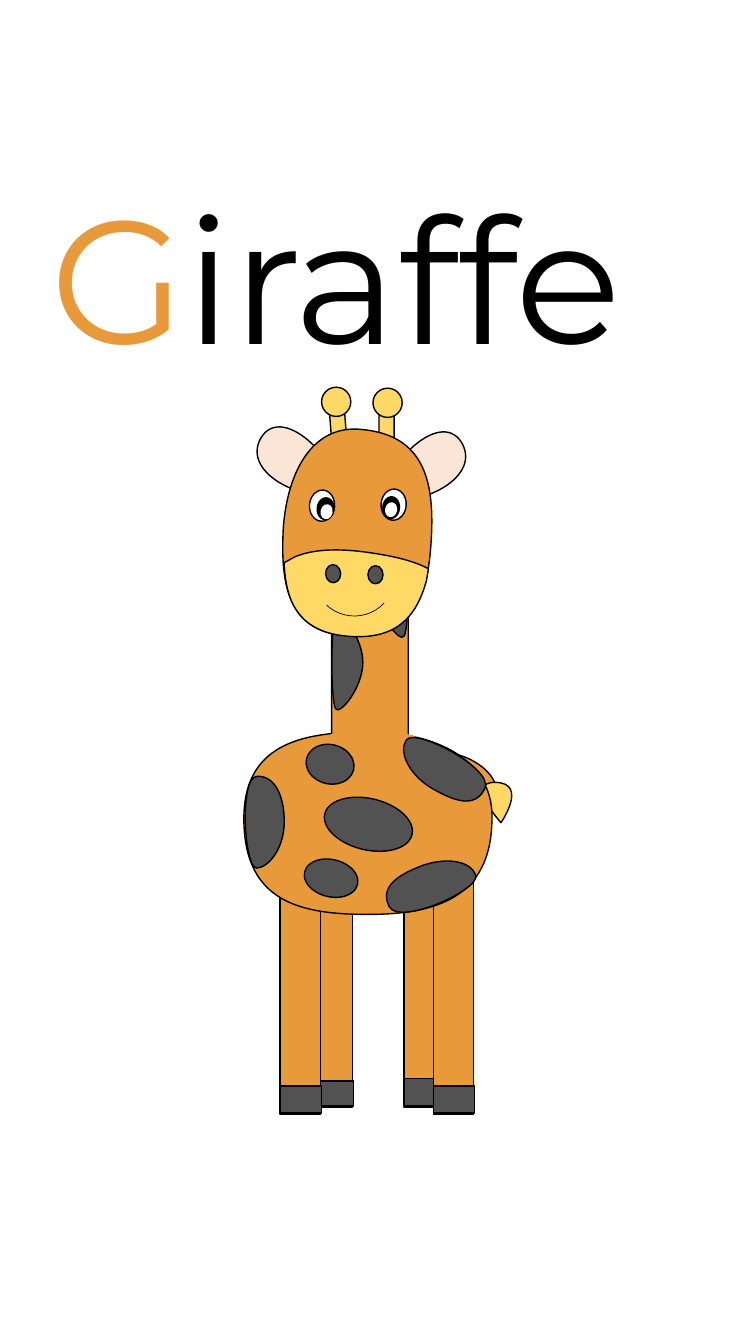
import math

import lxml.etree
import pptx
import pptx.oxml.ns
import pptx.util
from pptx.dml.color import RGBColor
from pptx.enum.shapes import MSO_SHAPE
from pptx.enum.text import MSO_ANCHOR, MSO_AUTO_SIZE, PP_ALIGN

PX = 9144
ORANGE = RGBColor(0xE8, 0x9A, 0x3A)
YELLOW = RGBColor(0xFF, 0xD9, 0x66)
PINK = RGBColor(0xFB, 0xE5, 0xD6)
GREY = RGBColor(0x52, 0x52, 0x52)
BLACK = RGBColor(0x00, 0x00, 0x00)
WHITE = RGBColor(0xFF, 0xFF, 0xFF)

SLIDE_SIZE = (750, 1333)
TITLE_BOX = (40, 163, 689, 220)
TITLE_SPANS = [("G", ORANGE), ("iraffe", BLACK)]
TITLE_FONT = {"name": "Montserrat", "size": pptx.util.Pt(125), "bold": False}
TITLE_FRAME = {
    "word_wrap": True,
    "vertical_anchor": MSO_ANCHOR.TOP,
    "auto_size": MSO_AUTO_SIZE.SHAPE_TO_FIT_TEXT,
    "margin_left": 10 * PX,
    "margin_right": 10 * PX,
    "margin_top": 5 * PX,
    "margin_bottom": 5 * PX,
}

OVAL = MSO_SHAPE.OVAL
BAR = MSO_SHAPE.RECTANGLE
ROUND_BAR = MSO_SHAPE.ROUNDED_RECTANGLE


def place(outline, sign, dx, dy):
    return [
        tuple(v + dy if i % 2 else sign * v + dx for i, v in enumerate(step))
        for step in outline
    ]


LEFT_EAR = [(329, 485), (344, 467, 282, 397, 259, 434), (237, 472, 313, 502, 329, 485)]
RIGHT_EAR = place(LEFT_EAR, -1, 717, 5)
TAIL = [(452, 779), (389, 727, 492, 744, 493, 786), (473, 777, 483, 774, 452, 779)]
TAIL_TUFT = [(497, 816), (497, 816, 524, 777, 492, 776), (460, 775, 497, 816, 497, 816)]
BODY = [
    (242, 816), (240, 739, 297, 726, 365, 726), (433, 726, 492, 754, 488, 816),
    (486, 890, 433, 907, 365, 907), (297, 907, 244, 894, 242, 816),
]
HEAD = [
    (349, 631), (286, 629, 278, 581, 281, 524), (285, 468, 310, 420, 360, 426),
    (420, 432, 431, 476, 428, 533), (425, 589, 412, 633, 349, 631),
]
MUZZLE = [
    (282, 558), (293, 552), (313, 544, 338, 544, 366, 548), (387, 551, 406, 555, 421, 562),
    (425, 564), (423, 576), (413, 612, 393, 635, 345, 631), (298, 627, 284, 599, 282, 561),
    (282, 558),
]
LEFT_NECK_SPOT = [
    (360, 657), (360, 632, 337, 604, 333, 611),
    (328, 619, 328, 695, 333, 703), (337, 710, 360, 682, 360, 657),
]
RIGHT_NECK_SPOT = place(LEFT_NECK_SPOT, -1, 734, -72)
LEFT_NECK_BASE = [
    (324, 731), (332, 726), (344, 722, 360, 720, 376, 723), (384, 725, 392, 727, 398, 730),
    (403, 733), (383, 751), (377, 758, 371, 764, 366, 770), (365, 771), (324, 731),
]
RIGHT_NECK_BASE = place(LEFT_NECK_BASE, 1, 20, 3)
FLANK_SPOT = [
    (282, 815), (282, 790, 273, 769, 255, 770),
    (237, 770, 242, 862, 255, 861), (267, 860, 282, 841, 282, 815),
]
RUMP_SPOT = [
    (427, 781), (449, 794, 471, 803, 481, 782),
    (490, 762, 411, 721, 403, 734), (395, 746, 406, 768, 427, 781),
]
THIGH_SPOT = [
    (420, 858), (396, 867, 376, 879, 386, 899),
    (396, 919, 477, 882, 472, 868), (467, 854, 444, 850, 420, 858),
]

LEGS = [
    ((401, 863), (401, 1070, 39, 27)),
    ((430, 870), (430, 1077, 41, 27)),
    ((310, 863), (308, 1072, 43, 25)),
    ((278, 870), (278, 1077, 41, 27)),
]
LEG_SIZE = (40, 235)
RIGHT_EYE = [(378, 485), (379, 492), (382, 498)]
LEFT_EYE = [(307, 486), (314, 493), (318, 500)]
EYE_LAYERS = [
    ((25, 31), 184.3, WHITE, 1),
    ((18, 23), 184.9, BLACK, 0),
    ((12, 15), 190.7, WHITE, 0),
]


def eye_parts(corners):
    return [
        (OVAL, corner + size, turn, color, line_width)
        for corner, (size, turn, color, line_width) in zip(corners, EYE_LAYERS)
    ]


def leg_parts(corner, hoof_box):
    return [(BAR, corner + LEG_SIZE, 0, ORANGE, 1), (BAR, hoof_box, 0, GREY, 1)]


PARTS = [
    (ROUND_BAR, (376, 404, 15, 93), 0, YELLOW, 1),
    (OVAL, (370, 385, 29, 29), 0, YELLOW, 1),
    (LEFT_EAR, (268, 417, 51, 86), 305.5, PINK, 1),
    (TAIL, (448, 733, 30, 68), 106.9, ORANGE, 1),
    (TAIL_TUFT, (479, 776, 29, 41), 0, YELLOW, 1),
    *(part for leg in LEGS for part in leg_parts(*leg)),
    (ROUND_BAR, (329, 488, 76, 356), 0, ORANGE, 1),
    (BODY, (242, 726, 246, 180), 0, ORANGE, 1),
    (RIGHT_EAR, (397, 422, 51, 86), 54.5, PINK, 1),
    (RIGHT_NECK_SPOT, (374, 538, 30, 94), 0, GREY, 1),
    (ROUND_BAR, (330, 403, 15, 93), 355.6, YELLOW, 1),
    (OVAL, (319, 384, 29, 29), 0, YELLOW, 1),
    (HEAD, (252, 455, 205, 147), 273.3, ORANGE, 1),
    (LEFT_NECK_SPOT, (329, 610, 30, 94), 0, GREY, 1),
    (MUZZLE, (278, 546, 143, 85), 188, YELLOW, 1),
    (OVAL, (340, 773, 51, 89), 283.3, GREY, 1),
    (LEFT_NECK_BASE, (337, 706, 49, 78), 280.4, ORANGE, 0),
    (OVAL, (323, 560, 15, 18), 356.6, GREY, 1),
    (OVAL, (365, 561, 15, 18), 180, GREY, 1),
    *eye_parts(RIGHT_EYE),
    (OVAL, (310, 844, 37, 54), 283.3, GREY, 1),
    (RIGHT_NECK_BASE, (357, 710, 49, 78), 280.4, ORANGE, 0),
    (OVAL, (308, 734, 39, 48), 283.3, GREY, 1),
    (FLANK_SPOT, (243, 770, 39, 91), 0, GREY, 1),
    (RUMP_SPOT, (418, 718, 41, 92), 122, GREY, 1),
    (THIGH_SPOT, (406, 832, 41, 92), 250.1, GREY, 1),
    *eye_parts(LEFT_EYE),
    (MSO_SHAPE.ARC, (311, 530, 81, 81), 132.9, None, 0.5),
]


def scaled(box):
    return [value * PX for value in box]


def add_outline(shapes, outline, box, turn):
    left, top, width, height = box
    corners = [(left + width, top), (left + width, top + height), (left, top + height)]
    builder = shapes.build_freeform(*scaled((left, top)), scale=1.0)
    builder.add_line_segments([scaled(corner) for corner in corners])
    part = builder.convert_to_shape()
    route = part._element.find(".//" + pptx.oxml.ns.qn("a:path"))
    for child in list(route):
        route.remove(child)
    cos, sin = math.cos(math.radians(turn)), math.sin(math.radians(turn))
    for i, step in enumerate(outline):
        kind = "a:moveTo" if i == 0 else "a:lnTo" if len(step) == 2 else "a:cubicBezTo"
        segment = lxml.etree.SubElement(route, pptx.oxml.ns.qn(kind))
        for x, y in zip(step[::2], step[1::2]):
            dx, dy = x - left - width / 2, y - top - height / 2
            point = lxml.etree.SubElement(segment, pptx.oxml.ns.qn("a:pt"))
            point.set("x", str(round((dx * cos + dy * sin + width / 2) * PX)))
            point.set("y", str(round((dy * cos - dx * sin + height / 2) * PX)))
    lxml.etree.SubElement(route, pptx.oxml.ns.qn("a:close"))
    return part


def draw_part(shapes, form, box, turn, color, line_width):
    if isinstance(form, list):
        part = add_outline(shapes, form, box, turn)
    else:
        part = shapes.add_shape(form, *scaled(box))
    part.rotation = turn
    part.shadow.inherit = False
    if color is None:
        part.fill.background()
    else:
        part.fill.solid()
        part.fill.fore_color.rgb = color
    if line_width:
        part.line.color.rgb = BLACK
        part.line.width = pptx.util.Pt(line_width)
    else:
        part.line.fill.background()


def write_title(title):
    title.left, title.top, title.width, title.height = scaled(TITLE_BOX)
    for name, value in TITLE_FRAME.items():
        setattr(title.text_frame, name, value)
    para = title.text_frame.paragraphs[0]
    para.alignment = PP_ALIGN.LEFT
    for text, color in TITLE_SPANS:
        span = para.add_run()
        span.text = text
        for name, value in TITLE_FONT.items():
            setattr(span.font, name, value)
        span.font.color.rgb = color


def main():
    deck = pptx.Presentation()
    deck.slide_width, deck.slide_height = scaled(SLIDE_SIZE)
    page = deck.slides.add_slide(deck.slide_layouts[5])
    write_title(page.shapes.title)
    giraffe = page.shapes.add_group_shape()
    for part in PARTS:
        draw_part(giraffe.shapes, *part)
    deck.save("out.pptx")


if __name__ == "__main__":
    main()
